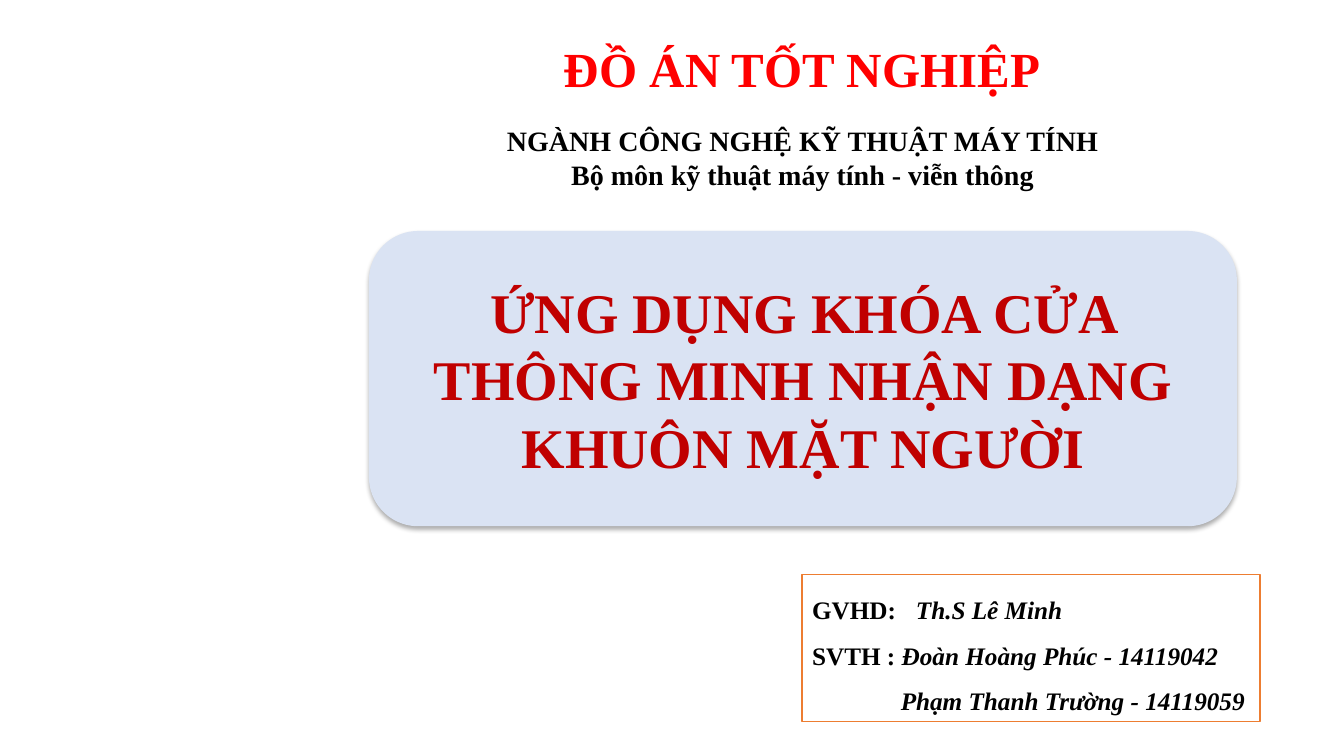
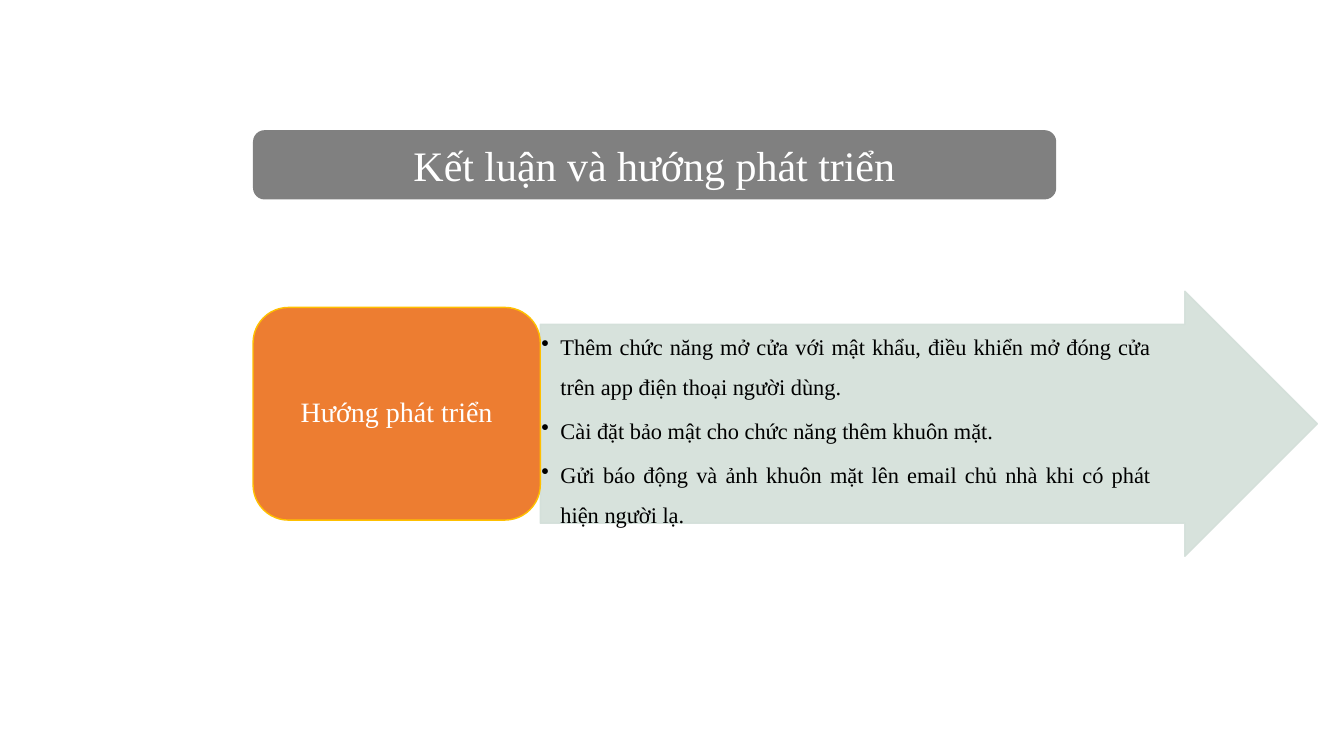
from lxml import etree
from pptx import Presentation
from pptx.dml.color import RGBColor
from pptx.enum.shapes import MSO_SHAPE
from pptx.enum.text import MSO_ANCHOR, PP_ALIGN
from pptx.oxml.ns import qn
from pptx.util import Inches, Pt

RECT, ROUNDED = MSO_SHAPE.RECTANGLE, MSO_SHAPE.ROUNDED_RECTANGLE
PROCESS, ARROW = MSO_SHAPE.FLOWCHART_ALTERNATE_PROCESS, MSO_SHAPE.RIGHT_ARROW
TOP, MIDDLE, BOTTOM = MSO_ANCHOR.TOP, MSO_ANCHOR.MIDDLE, MSO_ANCHOR.BOTTOM
CENTER, JUSTIFY = PP_ALIGN.CENTER, PP_ALIGN.JUSTIFY

FONT = "Times New Roman"
BLACK = RGBColor(0x00, 0x00, 0x00)
WHITE = RGBColor(0xFF, 0xFF, 0xFF)
RED = RGBColor(0xFF, 0x00, 0x00)
DARK_RED = RGBColor(0xC0, 0x00, 0x00)
PALE_BLUE = RGBColor(0xDA, 0xE3, 0xF3)
ORANGE = RGBColor(0xED, 0x7D, 0x31)
GOLD = RGBColor(0xFF, 0xC0, 0x00)
GRAY = RGBColor(0x80, 0x80, 0x80)
PALE_GREEN = RGBColor(0xD3, 0xDF, 0xD9)

prs = Presentation()
prs.slide_width, prs.slide_height = Inches(13.333), Inches(7.5)
COL, ROW = prs.slide_width / 64, prs.slide_height / 36
blank = prs.slide_layouts[6]


def add_box(s, kind, x, y, w, h, fill=None, line=None, anchor=MIDDLE):
    """Add a shape, or a text box if kind is None, measured in columns and rows."""
    place = [int(n) for n in (x * COL, y * ROW, w * COL, h * ROW)]
    if kind is None:
        sp = s.shapes.add_textbox(*place)
    else:
        sp = s.shapes.add_shape(kind, *place)
        sp.shadow.inherit = False
        sp.fill.solid()
        sp.fill.fore_color.rgb = fill
        if line is None:
            sp.line.fill.background()
        else:
            sp.line.color.rgb = line
            sp.line.width = Pt(1)
    sp.text_frame.word_wrap = True
    sp.text_frame.vertical_anchor = anchor
    return sp


def write(sp, lines, size, color, bold=False, align=CENTER, spacing=1.0):
    """Write one paragraph per line; a line is a list of (text, italic) runs."""
    tf = sp.text_frame
    for i, line in enumerate(lines):
        p = tf.add_paragraph() if i else tf.paragraphs[0]
        p.alignment, p.line_spacing = align, spacing
        p.font.name, p.font.size, p.font.bold = FONT, Pt(size), bold
        p.font.color.rgb = color
        for text, italic in line:
            r = p.add_run()
            r.text = text
            if italic:
                r.font.italic = True
    return tf.paragraphs


# Cover
s = prs.slides.add_slide(blank)
title = add_box(s, None, 23.9, 1.73, 28.6, 3.2, anchor=BOTTOM)
write(title, [[("ĐỒ ÁN TỐT NGHIỆP", False)]], 35, RED, True, spacing=0.9)

department = add_box(s, None, 23.1, 5.66, 30.24, 3.7, anchor=TOP)
write(department, [[("NGÀNH CÔNG NGHỆ KỸ THUẬT MÁY TÍNH", False)],
                   [("Bộ môn kỹ thuật máy tính - viễn thông", False)]], 20, BLACK, True)

names = add_box(s, RECT, 38.2, 27.36, 21.8, 7, WHITE, ORANGE, TOP)
teacher, _, student = write(names, [
    [("GVHD:\t", False), ("Th.S Lê Minh", True)],
    [("SVTH : ", False), ("Đoàn Hoàng Phúc - 14119042", True)],
    [("Phạm Thanh Trường - 14119059", True)],
], 18, BLACK, True, JUSTIFY, 1.5)
tabs = etree.Element(qn("a:tabLst"))
etree.SubElement(tabs, qn("a:tab"), pos=str(Inches(1.03)), algn="l")
teacher._p.pPr.find(qn("a:defRPr")).addprevious(tabs)
student._p.pPr.set("marL", str(Inches(0.88)))
student._p.pPr.set("indent", "0")

topic = add_box(s, PROCESS, 17.57, 11, 41.33, 14.06, PALE_BLUE)
write(topic, [[("ỨNG DỤNG KHÓA CỬA THÔNG MINH NHẬN DẠNG KHUÔN MẶT NGƯỜI", False)]],
      40, DARK_RED, True)
shadow = etree.SubElement(topic._element.spPr.find(qn("a:effectLst")), qn("a:outerShdw"),
                          blurRad=str(Pt(3.5)), dist=str(Pt(2.2)), dir="5400000", rotWithShape="0")
shadow_color = etree.SubElement(shadow, qn("a:srgbClr"), val=str(BLACK))
etree.SubElement(shadow_color, qn("a:alpha"), val="32000")

# Future work
s = prs.slides.add_slide(blank)
LEFT, CARD_WIDTH = 12.05, 13.68
banner = add_box(s, ROUNDED, LEFT, 6.2, 38.25, 3.3, GRAY)
write(banner, [[("Kết luận và hướng phát triển", False)]], 30, WHITE)

arrow = add_box(s, ARROW, LEFT + CARD_WIDTH, 13.87, 37, 12.62, PALE_GREEN, PALE_GREEN)
arrow.adjustments[0], arrow.adjustments[1] = 0.75, 0.5
for color in arrow._element.spPr.iter(qn("a:srgbClr")):
    etree.SubElement(color, qn("a:alpha"), val="90000")
tf = arrow.text_frame
tf.margin_left = tf.margin_top = tf.margin_bottom = Inches(0.01)
tf.margin_right = int(3.2 * COL)
ideas = [
    "Thêm chức năng mở cửa với mật khẩu, điều khiển mở đóng cửa trên app điện thoại người dùng.",
    "Cài đặt bảo mật cho chức năng thêm khuôn mặt.",
    "Gửi báo động và ảnh khuôn mặt lên email chủ nhà khi có phát hiện người lạ.",
]
for p in write(arrow, [[(idea, False)] for idea in ideas], 16, BLACK, align=JUSTIFY, spacing=1.5):
    p.space_after = Pt(2.4)
    pPr = p._p.pPr
    pPr.set("marL", str(Inches(0.19)))
    pPr.set("indent", str(-Inches(0.19)))
    bullet = etree.Element(qn("a:buChar"), char="•")
    pPr.find(qn("a:defRPr")).addprevious(bullet)

card = add_box(s, ROUNDED, LEFT, 14.64, CARD_WIDTH, 10.13, ORANGE, GOLD)
write(card, [[("Hướng phát triển", False)]], 20, WHITE, spacing=0.9)

prs.save("out.pptx")
